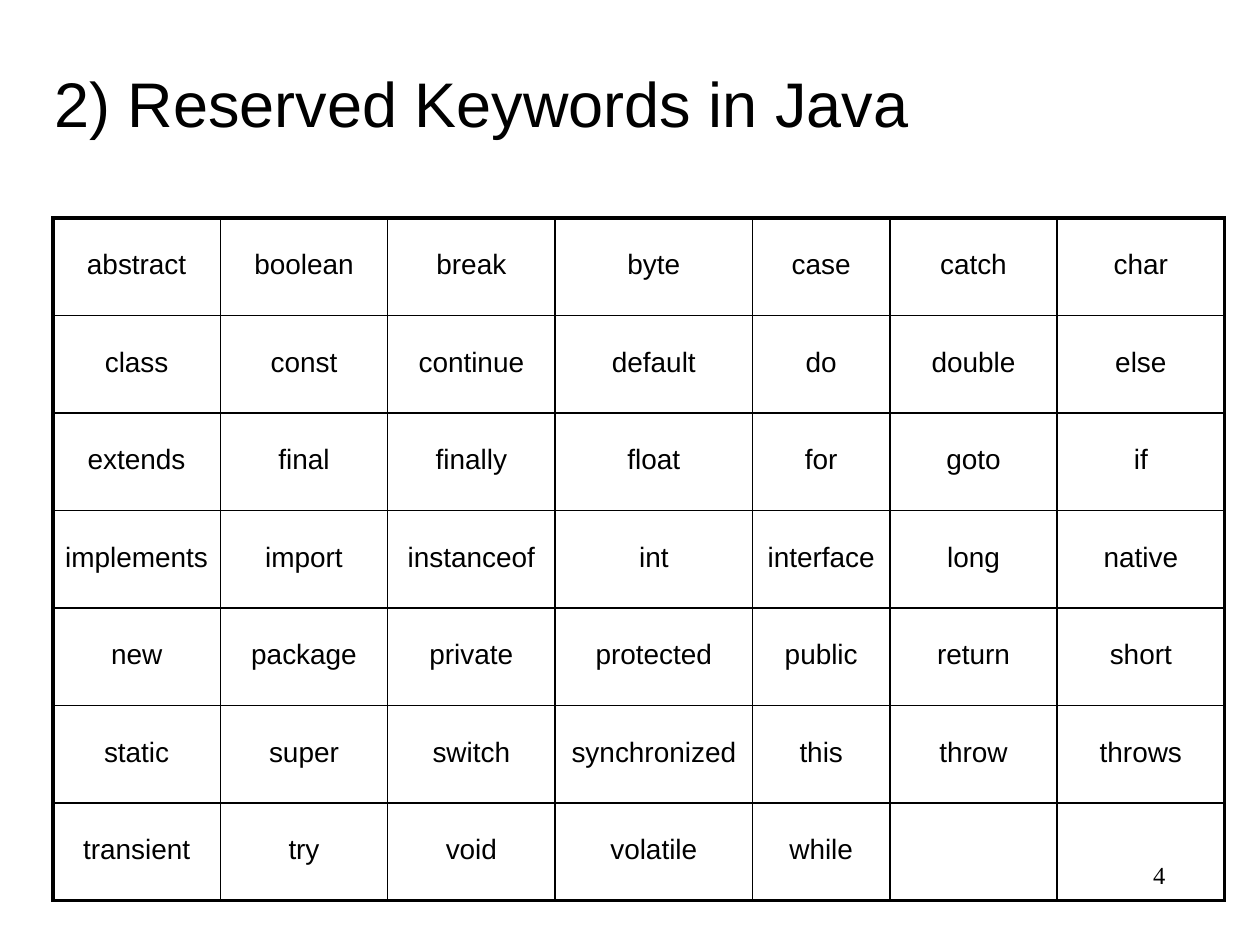
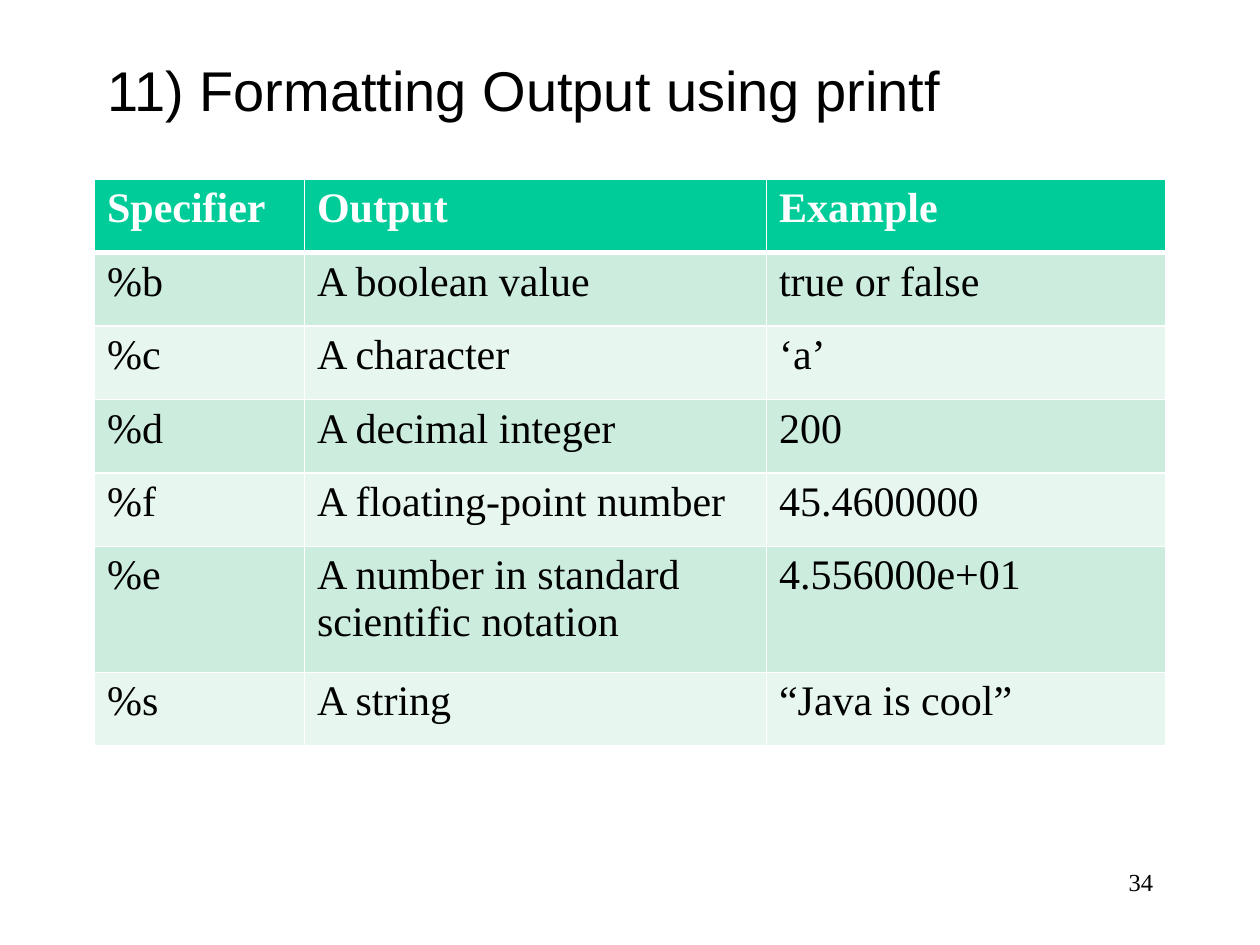
from lxml import etree
from pptx import Presentation
from pptx.dml.color import RGBColor
from pptx.enum.text import MSO_ANCHOR, MSO_AUTO_SIZE, PP_ALIGN
from pptx.oxml.ns import qn
from pptx.util import Inches, Pt

LEFT, CENTER, RIGHT = PP_ALIGN.LEFT, PP_ALIGN.CENTER, PP_ALIGN.RIGHT
TOP, MIDDLE = MSO_ANCHOR.TOP, MSO_ANCHOR.MIDDLE
NO_FIT = MSO_AUTO_SIZE.NONE

BLACK = RGBColor(0x00, 0x00, 0x00)
WHITE = RGBColor(0xFF, 0xFF, 0xFF)
GREEN = RGBColor(0x00, 0xCC, 0x99)
BANDS = (RGBColor(0xCC, 0xEC, 0xDE), RGBColor(0xE7, 0xF6, 0xEF))
SANS, SERIF = "Arial", "Times New Roman"

WIDTH, HEIGHT = 10, 7.5
NUMBER_AREA = (7.17, 6.83, 2.08, 0.5)
TIGHT = (0, 0, 0, 0)
PADDED = (0.1, 0.05, 0.1, 0.05)

KEYWORDS = [
    ("abstract", "boolean", "break", "byte", "case", "catch", "char"),
    ("class", "const", "continue", "default", "do", "double", "else"),
    ("extends", "final", "finally", "float", "for", "goto", "if"),
    ("implements", "import", "instanceof", "int", "interface", "long", "native"),
    ("new", "package", "private", "protected", "public", "return", "short"),
    ("static", "super", "switch", "synchronized", "this", "throw", "throws"),
    ("transient", "try", "void", "volatile", "while", "", ""),
]
SPECIFIERS = [
    ("Specifier", "Output", "Example"),
    ("%b", "A boolean value", "true or false"),
    ("%c", "A character", "‘a’"),
    ("%d", "A decimal integer", "200"),
    ("%f", "A floating-point number", "45.4600000"),
    ("%e", "A number in standard scientific notation", "4.556000e+01"),
    ("%s", "A string", "“Java is cool”"),
]


def set_margins(target, margins):
    (target.margin_left, target.margin_top,
     target.margin_right, target.margin_bottom) = map(Inches, margins)


def write(frame, text, font, size, color=BLACK, align=LEFT, bold=False):
    para = frame.paragraphs[0]
    para.text = text
    para.alignment = align
    para.font.name = font
    para.font.size = Pt(size)
    para.font.bold = bold
    para.font.color.rgb = color
    return para


def place(shape, area):
    shape.left, shape.top, shape.width, shape.height = map(Inches, area)


def add_page(deck, title, area, size, margins):
    page = deck.slides.add_slide(deck.slide_layouts[5])
    box = page.shapes.title
    place(box, area)
    frame = box.text_frame
    frame.auto_size = NO_FIT
    frame.word_wrap = True
    frame.vertical_anchor = MIDDLE
    set_margins(frame, margins)
    write(frame, title, SANS, size)
    return page


def add_number(page, number, margins):
    frame = page.shapes.add_textbox(*map(Inches, NUMBER_AREA)).text_frame
    frame.word_wrap = True
    set_margins(frame, margins)
    return write(frame, number, SERIF, 14, align=RIGHT)


def add_grid(page, rows, area, column_shares, row_shares):
    table = page.shapes.add_table(len(rows), len(rows[0]), *map(Inches, area)).table
    table.first_row = table.horz_banding = False
    for column, share in zip(table.columns, column_shares):
        column.width = Inches(area[2] * share / sum(column_shares))
    for row, share in zip(table.rows, row_shares):
        row.height = Inches(area[3] * share / sum(row_shares))
    return table


def set_borders(cell, color, left, right, top, bottom):
    properties = cell._tc.get_or_add_tcPr()
    for side, points in zip("LRTB", (left, right, top, bottom)):
        line = etree.SubElement(properties, qn("a:ln" + side), w=str(Pt(points)))
        fill = etree.SubElement(line, qn("a:solidFill"))
        etree.SubElement(fill, qn("a:srgbClr"), val=str(color))


def build_keywords(deck):
    page = add_page(deck, "2) Reserved Keywords in Java",
                    (0.42, 0.5, 6.83, 0.62), 36, (0.01, 0.01, 0, 0))
    page.shapes.title.text_frame.paragraphs[0].space_before = Pt(1)
    table = add_grid(page, KEYWORDS, (0.42, 1.73, 9.3, 5.42),
                     (1.33, 1.33, 1.33, 1.57, 1.09, 1.33, 1.33), [1] * len(KEYWORDS))
    thin, thick = 1, 2.25
    last_row, last_column = len(KEYWORDS) - 1, len(KEYWORDS[0]) - 1
    for r, words in enumerate(KEYWORDS):
        for c, word in enumerate(words):
            cell = table.cell(r, c)
            edges = (c == 0, c == last_column, r == 0, r == last_row)
            set_borders(cell, BLACK, *(thick if edge else thin for edge in edges))
            cell.fill.background()
            cell.vertical_anchor = TOP
            set_margins(cell, (0, 0.25, 0, 0))
            write(cell.text_frame, word, SANS, 16, align=CENTER)
    add_number(page, "4", TIGHT).line_spacing = Pt(16.4)


def build_specifiers(deck):
    page = add_page(deck, "11) Formatting Output using printf",
                    (0.75, 0.17, 8.5, 1.08), 32, PADDED)
    table = add_grid(page, SPECIFIERS, (0.75, 1.42, 8.5, 4.5),
                     (20, 44, 38), (7, 7, 7, 7, 7, 12, 7))
    for r, texts in enumerate(SPECIFIERS):
        header = r == 0
        for c, text in enumerate(texts):
            cell = table.cell(r, c)
            set_borders(cell, WHITE, 1, 1, 3 if r == 1 else 1, 3 if header else 1)
            cell.fill.solid()
            cell.fill.fore_color.rgb = GREEN if header else BANDS[(r - 1) % 2]
            cell.vertical_anchor = TOP
            set_margins(cell, PADDED)
            write(cell.text_frame, text, SERIF, 24, WHITE if header else BLACK, bold=header)
    add_number(page, "34", PADDED)


def main():
    deck = Presentation()
    deck.slide_width, deck.slide_height = Inches(WIDTH), Inches(HEIGHT)
    build_keywords(deck)
    build_specifiers(deck)
    deck.save("out.pptx")


if __name__ == "__main__":
    main()
